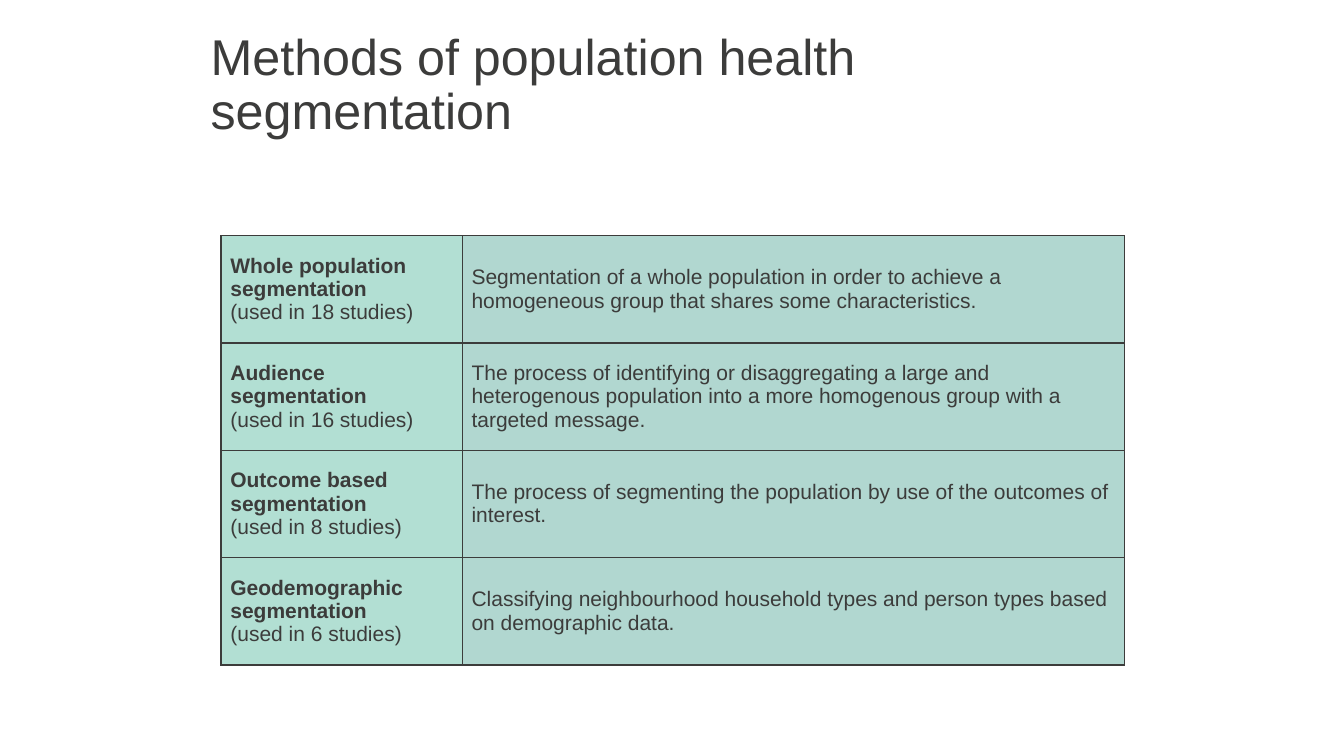
from copy import deepcopy

from pptx import Presentation
from pptx.dml.color import RGBColor
from pptx.enum.text import MSO_ANCHOR
from pptx.oxml import parse_xml
from pptx.oxml.ns import nsdecls, qn
from pptx.util import Pt

INK = RGBColor(0x3C, 0x3C, 0x3B)
MINT = RGBColor(0xB2, 0xDF, 0xD3)
TEAL = RGBColor(0xB1, 0xD7, 0xD0)

METHODS = [
    ("Whole population segmentation", 18,
     "Segmentation of a whole population in order to achieve a "
     "homogeneous group that shares some characteristics."),
    ("Audience segmentation", 16,
     "The process of identifying or disaggregating a large and heterogenous "
     "population into a more homogenous group with a targeted message."),
    ("Outcome based segmentation", 8,
     "The process of segmenting the population by use of the outcomes of interest."),
    ("Geodemographic segmentation", 6,
     "Classifying neighbourhood household types and person types "
     "based on demographic data."),
]


def style_runs(para, size):
    for run in para.runs:
        run.font.name = "Arial"
        run.font.size = Pt(size)
        run.font.color.rgb = INK


def add_title(slide, text):
    box = slide.shapes.add_textbox(Pt(150.5), Pt(28.8), Pt(488), Pt(104.4))
    frame = box.text_frame
    frame.word_wrap = True
    frame.vertical_anchor = MSO_ANCHOR.MIDDLE
    frame.margin_left = frame.margin_right = frame.margin_top = 0
    frame.margin_bottom = Pt(39)
    frame.text = text
    para = frame.paragraphs[0]
    para.line_spacing = 0.9
    style_runs(para, 35.9)


def add_borders(cell):
    props = cell._tc.get_or_add_tcPr()
    for pos, side in enumerate(("lnL", "lnR", "lnT", "lnB")):
        line = parse_xml(
            f'<a:{side} {nsdecls("a")} w="{Pt(1)}"><a:solidFill>'
            f'<a:srgbClr val="{INK}"/></a:solidFill></a:{side}>')
        props.insert(pos, line)


def fill_cell(cell, text, color):
    cell.fill.solid()
    cell.fill.fore_color.rgb = color
    add_borders(cell)
    cell.vertical_anchor = MSO_ANCHOR.MIDDLE
    cell.margin_left = cell.margin_right = Pt(6.75)
    cell.margin_top = cell.margin_bottom = Pt(6.75)
    para = cell.text_frame.paragraphs[0]
    para.text = text
    para.space_before = para.space_after = Pt(6)
    style_runs(para, 15)
    return para


def fill_name(cell, name, count):
    para = fill_cell(cell, f"{name}\v(used in {count} studies)", MINT)
    bold, plain = para.runs
    bold.font.bold = True
    plain.font.bold = False
    para._p.find(qn("a:br")).append(deepcopy(bold._r.rPr))


def add_methods(slide):
    frame = slide.shapes.add_table(
        len(METHODS), 2, Pt(157.8), Pt(168.3), Pt(645.2), Pt(306.8))
    table = frame.table
    table.first_row = table.horz_banding = False
    for col, width in zip(table.columns, (172.3, 472.9)):
        col.width = Pt(width)
    for row, (name, count, detail) in zip(table.rows, METHODS):
        row.height = Pt(76.7)
        fill_name(row.cells[0], name, count)
        fill_cell(row.cells[1], detail, TEAL)


def main():
    deck = Presentation()
    deck.slide_width, deck.slide_height = Pt(960), Pt(540)
    slide = deck.slides.add_slide(deck.slide_layouts[6])
    add_title(slide, "Methods of population health segmentation")
    add_methods(slide)
    deck.save("out.pptx")


if __name__ == "__main__":
    main()
